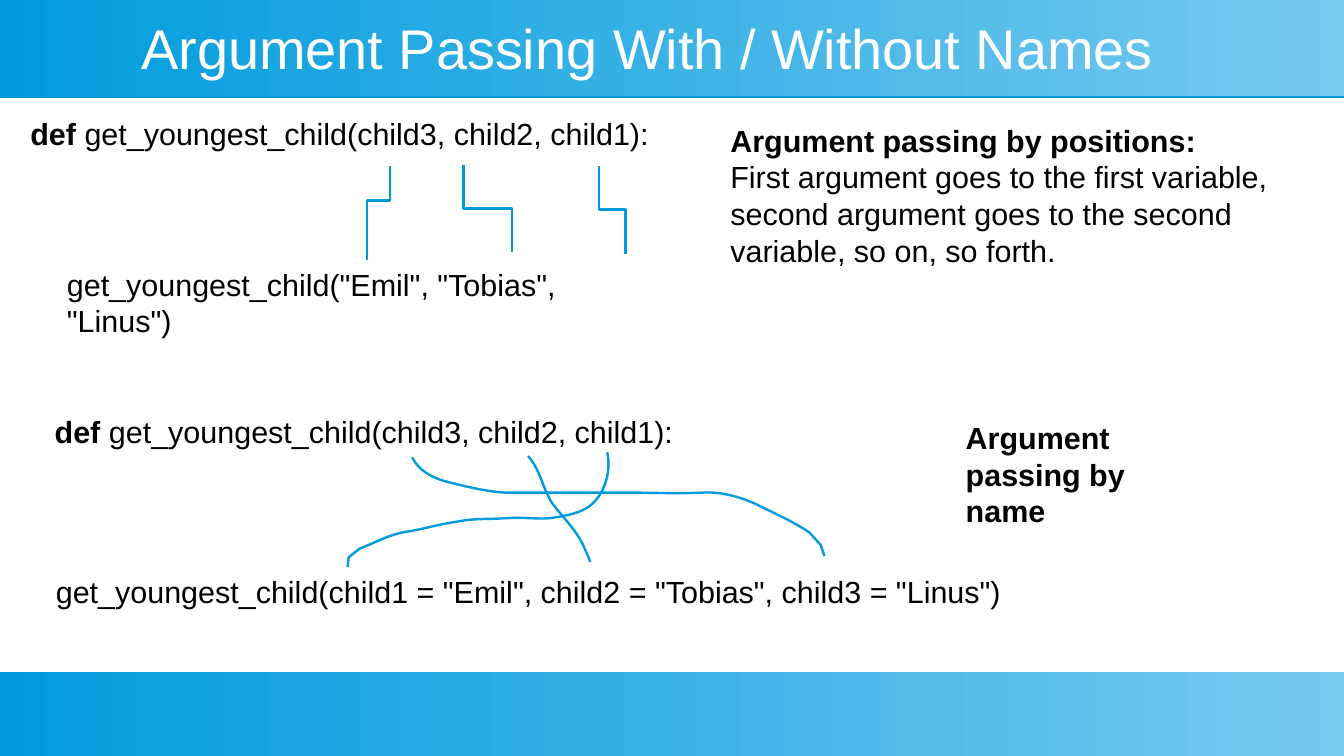
import dataclasses

import pptx
import pptx.dml.color
import pptx.enum.shapes
import pptx.enum.text
import pptx.oxml
import pptx.oxml.ns
import pptx.util

Inches = pptx.util.Inches
Pt = pptx.util.Pt
RGB = pptx.dml.color.RGBColor
qn = pptx.oxml.ns.qn


@dataclasses.dataclass(frozen=True)
class Theme:
    blue: RGB = RGB.from_string("009BDD")
    pale_blue: RGB = RGB.from_string("77CAEE")
    white: RGB = RGB.from_string("FFFFFF")
    black: RGB = RGB.from_string("000000")
    font: str = "Arial"
    title_size: int = 33
    body_size: int = 18
    line_width: float = 1.42


theme = Theme()
drawing_ns = pptx.oxml.ns.nsdecls("a")

deck = pptx.Presentation()
deck.slide_width, deck.slide_height = Inches(11.02), Inches(6.2)
slide = deck.slides.add_slide(deck.slide_layouts[6])


def put_text(text, *, at, lead="", size=theme.body_size, color=theme.black,
             align=None, anchor=pptx.enum.text.MSO_ANCHOR.TOP, inset=(0.1, 0.05)):
    """Place text in a box; a paragraph that starts with lead has it in bold."""
    frame = slide.shapes.add_textbox(*map(Inches, at)).text_frame
    frame.word_wrap = True
    frame.vertical_anchor = anchor
    frame.margin_left = frame.margin_right = Inches(inset[0])
    frame.margin_top = frame.margin_bottom = Inches(inset[1])
    for index, line in enumerate(text.split("\n")):
        paragraph = frame.add_paragraph() if index else frame.paragraphs[0]
        paragraph.alignment = align
        bold_part = lead if line.startswith(lead) else ""
        for part, bold in ((bold_part, True), (line[len(bold_part):], False)):
            if part:
                run = paragraph.add_run()
                run.text = part
                run.font.name, run.font.size = theme.font, Pt(size)
                run.font.bold, run.font.color.rgb = bold, color


# Header and footer bands
for top, height in ((0, 0.79), (5.51, 0.69)):
    band = slide.shapes.add_shape(pptx.enum.shapes.MSO_SHAPE.RECTANGLE,
                                  0, Inches(top), deck.slide_width, Inches(height))
    band.shadow.inherit = False
    band.line.fill.background()
    band.fill.gradient()
    band.fill.gradient_angle = 0
    for stop, color in zip(band.fill.gradient_stops, (theme.blue, theme.pale_blue)):
        stop.color.rgb = color
    band._element.spPr.find(qn("a:effectLst")).append(pptx.oxml.parse_xml(
        f'<a:outerShdw {drawing_ns} blurRad="0" dist="{Pt(0.9)}" dir="5400000" rotWithShape="0">'
        f'<a:srgbClr val="{theme.blue}"/></a:outerShdw>'))

put_text("Argument Passing With / Without Names", at=(0.19, 0.13, 10.24, 0.52),
         size=theme.title_size, color=theme.white, inset=(0, 0),
         align=pptx.enum.text.PP_ALIGN.CENTER, anchor=pptx.enum.text.MSO_ANCHOR.MIDDLE)

# Function definitions, calls and explanations
definition = "def get_youngest_child(child3, child2, child1):"
positions_heading = "Argument passing by positions:"
name_heading = "Argument passing by name"
put_text(definition, at=(0.15, 0.89, 5.48, 0.38), lead="def")
put_text('get_youngest_child("Emil", "Tobias", "Linus")', at=(0.45, 2.13, 5.12, 0.38))
put_text(definition, at=(0.35, 3.34, 5.45, 0.38), lead="def")
put_text('get_youngest_child(child1 = "Emil", child2 = "Tobias", child3 = "Linus")',
         at=(0.36, 4.65, 8, 0.38))
put_text(positions_heading + "\nFirst argument goes to the first variable, second argument "
         "goes to the second variable, so on, so forth.",
         at=(5.89, 0.95, 4.91, 1.78), lead=positions_heading)
put_text(name_heading, at=(7.82, 3.39, 2.01, 0.94), lead=name_heading)

# Links by position: elbows turned to leave and arrive vertically
position_links = (
    (3.2, 1.36, 3.01, 2.13, 37200),
    (3.8, 1.35, 4.2, 2.07, 50000),
    (4.91, 1.36, 5.13, 2.08, 50000),
)
for x1, y1, x2, y2, bend in position_links:
    middle_x, middle_y = (x1 + x2) / 2, (y1 + y2) / 2
    direction = 1 if x2 > x1 else -1
    half_run = direction * (y2 - y1) / 2
    half_rise = abs(x2 - x1) / 2
    link = slide.shapes.add_connector(
        pptx.enum.shapes.MSO_CONNECTOR.ELBOW,
        Inches(middle_x + half_run), Inches(middle_y - half_rise),
        Inches(middle_x - half_run), Inches(middle_y + half_rise))
    link.line.color.rgb, link.line.width = theme.blue, Pt(theme.line_width)
    properties = link._element.spPr
    properties.find(qn("a:xfrm")).set("rot", str((270 if direction > 0 else 90) * 60000))
    geometry = properties.find(qn("a:prstGeom"))
    for guides in list(geometry):
        geometry.remove(guides)
    geometry.append(pptx.oxml.parse_xml(
        f'<a:avLst {drawing_ns}><a:gd name="adj1" fmla="val {bend}"/></a:avLst>'))
    properties.append(pptx.oxml.parse_xml(f"<a:effectLst {drawing_ns}/>"))

# Links by name: a start point, then cubic (three points) or straight (one point) pieces
name_links = (
    ((3.38, 3.75),
     ((3.43, 3.86), (3.55, 3.92), (3.66, 3.95)), ((3.82, 3.99), (3.98, 4.03), (4.14, 4.04)),
     ((4.3, 4.04), (4.46, 4.04), (4.62, 4.04)), ((4.79, 4.04), (4.96, 4.04), (5.14, 4.04)),
     ((5.34, 4.04), (5.55, 4.05), (5.76, 4.04)), ((5.92, 4.03), (6.09, 4.08), (6.23, 4.15)),
     ((6.37, 4.22), (6.51, 4.28), (6.64, 4.37)), ((6.73, 4.47),), ((6.76, 4.56),)),
    ((4.33, 3.74),
     ((4.43, 3.85), (4.45, 4.01), (4.53, 4.13)), ((4.62, 4.25), (4.73, 4.35), (4.79, 4.49)),
     ((4.83, 4.58),), ((4.84, 4.61),)),
    ((4.98, 3.71),
     ((5.01, 3.85), (4.97, 4.01), (4.88, 4.11)), ((4.79, 4.21), (4.64, 4.23), (4.51, 4.25)),
     ((4.4, 4.26), (4.28, 4.24), (4.16, 4.25)), ((4.02, 4.26), (3.88, 4.25), (3.74, 4.28)),
     ((3.6, 4.3), (3.47, 4.34), (3.34, 4.36)), ((3.2, 4.38), (3.08, 4.45), (2.95, 4.5)),
     ((2.86, 4.57),), ((2.85, 4.65),)),
)
for start, *pieces in name_links:
    outline = slide.shapes.build_freeform(*map(Inches, start))
    outline.add_line_segments(
        [(Inches(x), Inches(y)) for piece in pieces for x, y in piece], close=False)
    curve = outline.convert_to_shape()
    curve.shadow.inherit = False
    curve.fill.background()
    curve.line.color.rgb, curve.line.width = theme.blue, Pt(theme.line_width)

    # Join the three points of each cubic piece into one Bézier segment
    segments = iter(list(curve._element.iter(qn("a:lnTo"))))
    for piece in pieces:
        first, *others = [next(segments) for _ in piece]
        if others:
            first.tag = qn("a:cubicBezTo")
            for other in others:
                first.append(other[0])
                other.getparent().remove(other)

deck.save("out.pptx")
